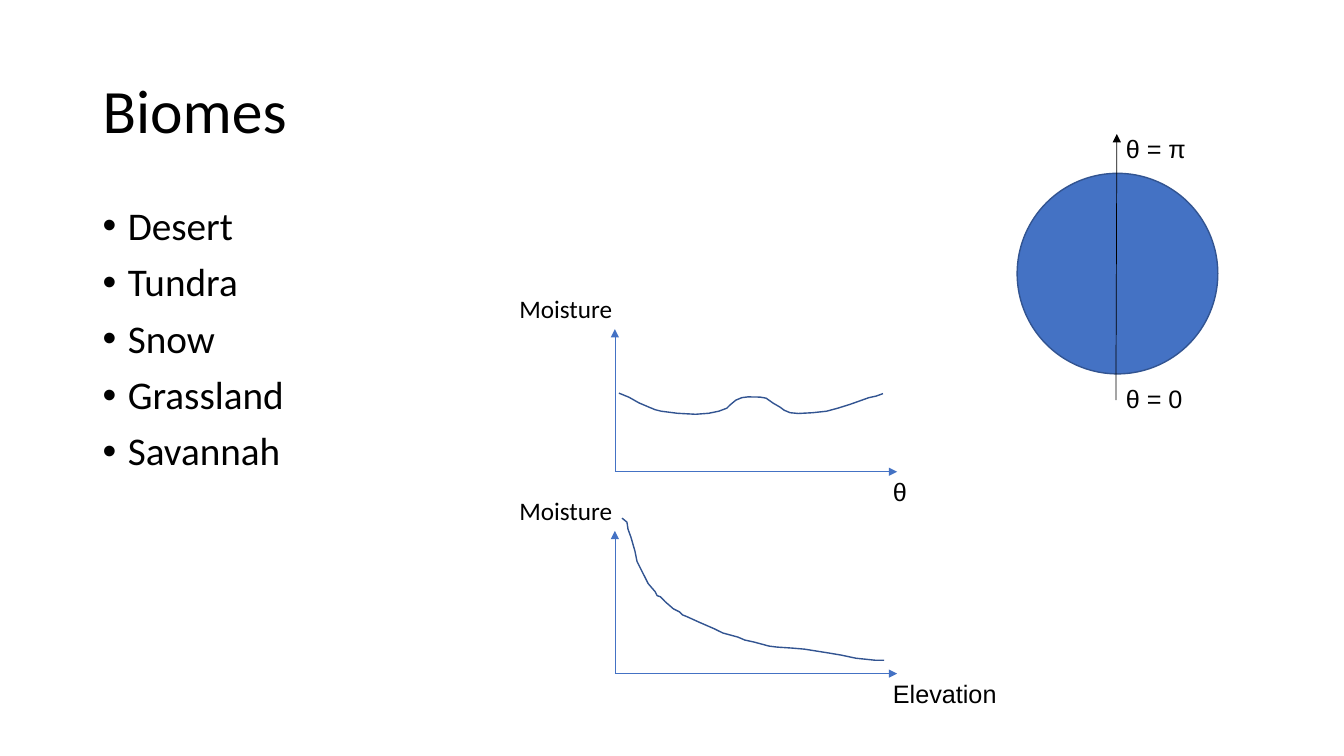
"""Build the Biomes slide: a list, two moisture plots and a globe with its axis."""
from lxml import etree
from pptx import Presentation
from pptx import util as u
from pptx.dml.color import RGBColor
from pptx.enum import shapes, text
from pptx.oxml.ns import qn

INK = {"text": "000000", "blue": "4472C4", "edge": "325491"}
deck = Presentation()
deck.slide_width, deck.slide_height = u.Inches(13.33), u.Inches(7.5)
COL, ROW = deck.slide_width / 100, deck.slide_height / 100
slide = deck.slides.add_slide(deck.slide_layouts[6])


def write(left, top, wide, high, lines, size=18, font="Arial"):
    box = slide.shapes.add_textbox(
        int(left * COL), int(top * ROW), int(wide * COL), int(high * ROW))
    frame = box.text_frame
    frame.word_wrap = True
    for i, line in enumerate(lines):
        para = frame.paragraphs[0] if i == 0 else frame.add_paragraph()
        run = para.add_run()
        run.text = line
        run.font.size, run.font.name = u.Pt(size), font
        run.font.color.rgb = RGBColor.from_string(INK["text"])
    return frame


def arrow(x1, y1, x2, y2, ink):
    line = slide.shapes.add_connector(
        shapes.MSO_CONNECTOR.STRAIGHT,
        int(x1 * COL), int(y1 * ROW), int(x2 * COL), int(y2 * ROW))
    line.line.color.rgb = RGBColor.from_string(INK[ink])
    line.line.width = u.Pt(0.5)
    etree.SubElement(line.line._get_or_add_ln(), qn("a:tailEnd"), type="triangle")
    etree.SubElement(line._element.spPr, qn("a:effectLst"))


globe = slide.shapes.add_shape(
    shapes.MSO_SHAPE.OVAL, int(75.68 * COL), int(22.93 * ROW),
    int(14.93 * COL), int(26.53 * ROW))
globe.shadow.inherit = False
globe.fill.solid()
globe.fill.fore_color.rgb = RGBColor.from_string(INK["blue"])
globe.line.color.rgb = RGBColor.from_string(INK["edge"])
globe.line.width = u.Pt(1)
arrow(83.03, 52.93, 83.1, 17.73, "text")
for top, label in ((50, "θ = 0"), (16.93, "θ = π")):
    write(83.03, top, 9.38, 5.33, [label])

title = write(6.9, 5.33, 86.25, 19.33, ["Biomes"], 44, "Calibri")
title.vertical_anchor = text.MSO_ANCHOR.MIDDLE
title.paragraphs[0].line_spacing = 0.9

biomes = ["Desert", "Tundra", "Snow", "Grassland", "Savannah"]
body = write(6.9, 26.67, 86.25, 63.47, biomes, 28, "Calibri")
for para in body.paragraphs:
    para.line_spacing, para.space_before = 0.9, u.Pt(10)
    props = para._p.get_or_add_pPr()
    props.set("marL", str(u.Inches(0.25)))
    props.set("indent", str(-u.Inches(0.25)))
    etree.SubElement(props, qn("a:buFont"), typeface="Arial")
    etree.SubElement(props, qn("a:buChar"), char="•")

wave = [
    (46.05, 52), (46.8, 52.55), (47.55, 53.3), (48.3, 53.87), (48.75, 54.2),
    (49.2, 54.4), (50.4, 54.67), (51.75, 54.8), (52.73, 54.67), (53.48, 54.4),
    (54.08, 54), (54.3, 53.6), (54.75, 52.93), (55.2, 52.6), (55.65, 52.5),
    (56.55, 52.53), (57, 52.67), (57.53, 53.33), (58.05, 53.87), (58.35, 54.27),
    (58.8, 54.6), (59.4, 54.7), (60.45, 54.6), (61.5, 54.4), (62.33, 54),
    (63.23, 53.5), (64.13, 52.93), (64.65, 52.6), (65.18, 52.4), (65.7, 52.07)]
fall = [
    (46.28, 68.53), (46.65, 69.07), (46.73, 70), (46.95, 71.07), (47.25, 72.93),
    (47.4, 74.27), (48.23, 77.2), (48.75, 78.27), (48.9, 78.8), (49.13, 78.93),
    (49.5, 79.6), (50.1, 80.53), (50.55, 80.93), (50.78, 81.33), (51.15, 81.6),
    (51.98, 82.27), (53.18, 83.2), (53.78, 83.73), (54.9, 84.27), (55.43, 84.67),
    (56.1, 84.93), (57.23, 85.47), (57.83, 85.6), (58.95, 85.73), (59.85, 85.87),
    (61.73, 86.4), (62.63, 86.67), (63.68, 87.07), (65.1, 87.33), (65.78, 87.33)]
for base, label, wide, curve in (
        (62.4, "θ", 2.5, wave), (89.1, "Elevation", 13.8, fall)):
    arrow(45.75, base, 45.75, base - 18.87, "blue")
    arrow(45.75, base, 66.75, base, "blue")
    write(65.7, base, wide, 5.33, [label])
    write(37.9, base - 24.2, 11.02, 5.33, ["Moisture"], font="Calibri")
    dots = [(x * COL, y * ROW) for x, y in curve]
    pen = slide.shapes.build_freeform(*dots[0])
    pen.add_line_segments(dots[1:], close=False)
    trace = pen.convert_to_shape()
    trace.shadow.inherit = False
    trace.fill.background()
    trace.line.color.rgb = RGBColor.from_string(INK["edge"])
    trace.line.width = u.Pt(1)

deck.save("out.pptx")
